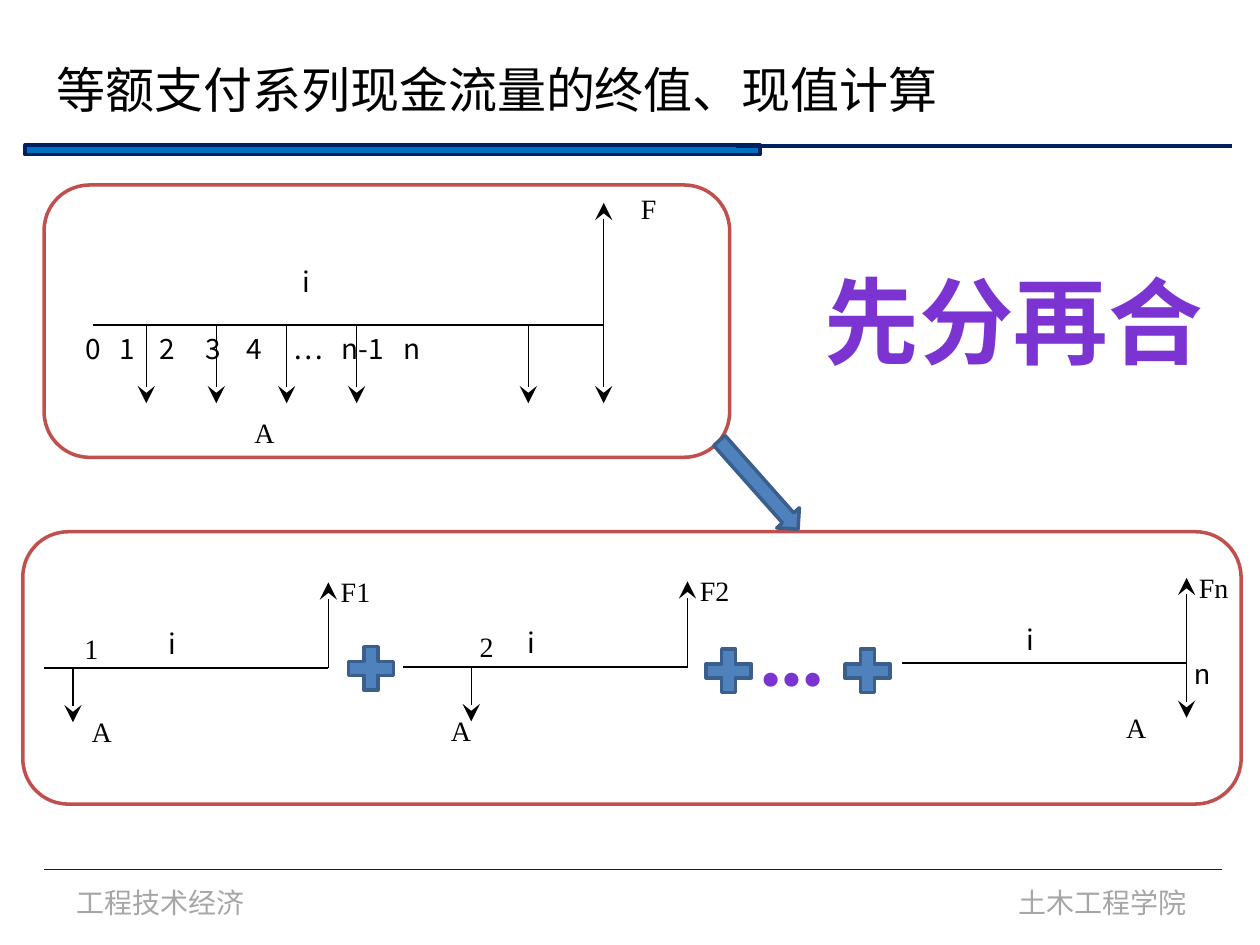
from lxml import etree
from pptx import Presentation
from pptx.dml import color
from pptx.enum import shapes, text
from pptx.oxml import ns
from pptx.util import Cm, Pt

SANS, SERIF, BODY = "Noto Sans CJK SC", "Times New Roman", "Calibri"
BLACK, NAVY, RED = "000000", "002060", "C0504D"
BLUE, EDGE, PURPLE, GREY = "4F81BD", "3A5F8C", "7B34D2", "A6A6A6"
KIND = shapes.MSO_SHAPE
ALIGN = text.PP_ALIGN


def rgb(code):
    return color.RGBColor.from_string(code)


def child(node, tag, **attrs):
    return etree.SubElement(node, ns.qn(tag), attrs)


class Board:
    """Draws cash flow diagrams on one slide, with all lengths in centimetres."""

    def __init__(self, deck):
        self.slide = deck.slides.add_slide(deck.slide_layouts[5])
        self.items = self.slide.shapes

    def letter(self, box, words, size, face, hue, bold=False, align=ALIGN.LEFT, wrap=True):
        frame = box.text_frame
        frame.word_wrap = wrap
        para = frame.paragraphs[0]
        para.alignment = align
        run = para.add_run()
        run.text = words
        run.font.size, run.font.name, run.font.bold = Pt(size), face, bold
        run.font.color.rgb = rgb(hue)
        child(run.font._element, "a:ea", typeface=SANS)
        return para

    def title(self, words, x, y, w, h):
        box = self.items.title
        box.left, box.top, box.width, box.height = Cm(x), Cm(y), Cm(w), Cm(h)
        self.letter(box, words, 28, SANS, BLACK, wrap=False)

    def label(self, words, x, y, w=1.2, h=0.69, size=16, face=SERIF, hue=BLACK, **look):
        box = self.items.add_textbox(Cm(x), Cm(y), Cm(w), Cm(h))
        return self.letter(box, words, size, face, hue, **look)

    def scale(self, marks, stops, x, y, w, h):
        para = self.label("\t".join(marks), x, y, w, h, face=SANS)
        tabs = child(para._p.get_or_add_pPr(), "a:tabLst")
        for stop in stops:
            child(tabs, "a:tab", pos=str(int(Cm(stop))), algn="l")

    def shape(self, kind, x, y, w, h, fill=None, edge=EDGE, turn=0):
        item = self.items.add_shape(kind, Cm(x), Cm(y), Cm(w), Cm(h))
        item.shadow.inherit = False
        item.rotation = turn
        if fill:
            item.fill.solid()
            item.fill.fore_color.rgb = rgb(fill)
        else:
            item.fill.background()
        item.line.color.rgb = rgb(edge)
        item.line.width = Pt(2)

    def line(self, x, y, right, low, width=1, hue=BLACK, head=False):
        item = self.items.add_connector(
            shapes.MSO_CONNECTOR.STRAIGHT, Cm(x), Cm(y), Cm(right), Cm(low))
        item.line.color.rgb = rgb(hue)
        item.line.width = Pt(width)
        props = item._element.spPr
        if head:
            child(props.find(ns.qn("a:ln")), "a:tailEnd", type="stealth", w="lg", len="lg")
        child(props, "a:effectLst")

    def arrow(self, x, y, rise):
        self.line(x, y, x, y + rise, 0.75, head=True)

    def flow(self, x, y, stem, pay, total):
        end = x + 5.73
        self.arrow(stem, y, 1.1)
        self.arrow(end, y, -1.72)
        self.line(x, y, end, y)
        self.label(total, end, y - 2)
        self.label("A", pay, y + 0.82)
        self.label("i", x + 2.26, y - 0.95, face=SANS)


def main():
    deck = Presentation()
    deck.slide_width, deck.slide_height = Cm(25.4), Cm(19.05)
    board = Board(deck)

    board.shape(KIND.RECTANGLE, 0.51, 2.92, 14.81, 0.2, "0070C0", NAVY)
    board.line(14.83, 2.95, 24.84, 2.95, 2.25, NAVY)
    board.line(0.89, 17.53, 24.64, 17.53, 0.75, NAVY)
    for words, x in (("工程技术经济", 1.3), ("土木工程学院", 20.29)):
        board.label(words, x, 17.73, 3.94, 0.94, face=BODY, hue=GREY, wrap=False)
    board.title("等额支付系列现金流量的终值、现值计算", 0.89, 1.07, 18.47, 1.45)

    base = 6.55
    for x in (2.95, 4.36, 5.78, 7.19, 10.65, 12.17):
        board.arrow(x, base, 1.58)
    board.arrow(12.17, base, -2.46)
    board.line(1.88, base, 12.15, base)
    board.label("F", 12.67, 3.73)
    board.label("A", 4.88, 8.26)
    board.label("i", 5.84, 5.21, face=SANS)
    board.scale(("0", "1", "2", "3", "4", "…", "n-1", "n"),
                (0.68, 1.5, 2.43, 3.25, 4.2, 5.17, 6.41), 1.47, base, 13.67, 0.64)
    board.label("先分再合", 16.31, 5.18, 8.26, 2.57, 54, BODY, PURPLE,
                bold=True, align=ALIGN.CENTER, wrap=False)
    board.shape(KIND.ROUNDED_RECTANGLE, 0.89, 3.73, 13.82, 5.49, edge=RED)

    board.flow(0.89, 13.46, 1.47, 1.6, "F1")
    board.flow(8.13, 13.44, 9.5, 8.84, "F2")
    board.flow(18.19, 13.37, 23.92, 22.45, "Fn")
    board.label("1", 1.45, 12.6)
    board.label("2", 9.42, 12.57)
    board.label("n", 23.83, 13.11, face="Arial")
    board.shape(KIND.ROUNDED_RECTANGLE, 0.46, 10.72, 24.56, 5.49, edge=RED)
    for x, y in ((6.86, 12.88), (14.07, 12.93), (16.87, 12.93)):
        board.shape(KIND.MATH_PLUS, x, y, 1.24, 1.19, BLUE)
    board.label("…", 13.43, 11.81, 5.08, 2.57, 54, BODY, PURPLE,
                bold=True, align=ALIGN.CENTER)
    board.shape(KIND.RIGHT_ARROW, 14.1, 9.47, 2.39, 0.61, BLUE, turn=48.4)

    deck.save("out.pptx")


if __name__ == "__main__":
    main()
